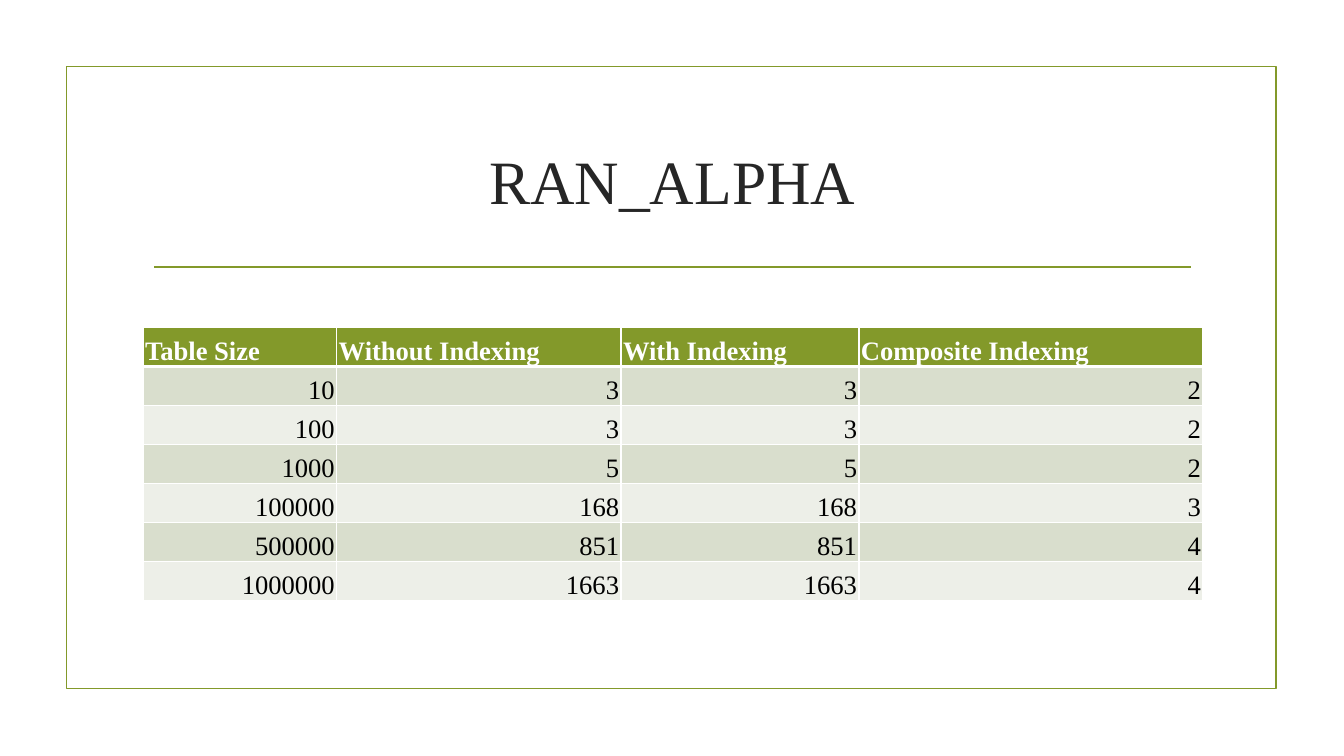
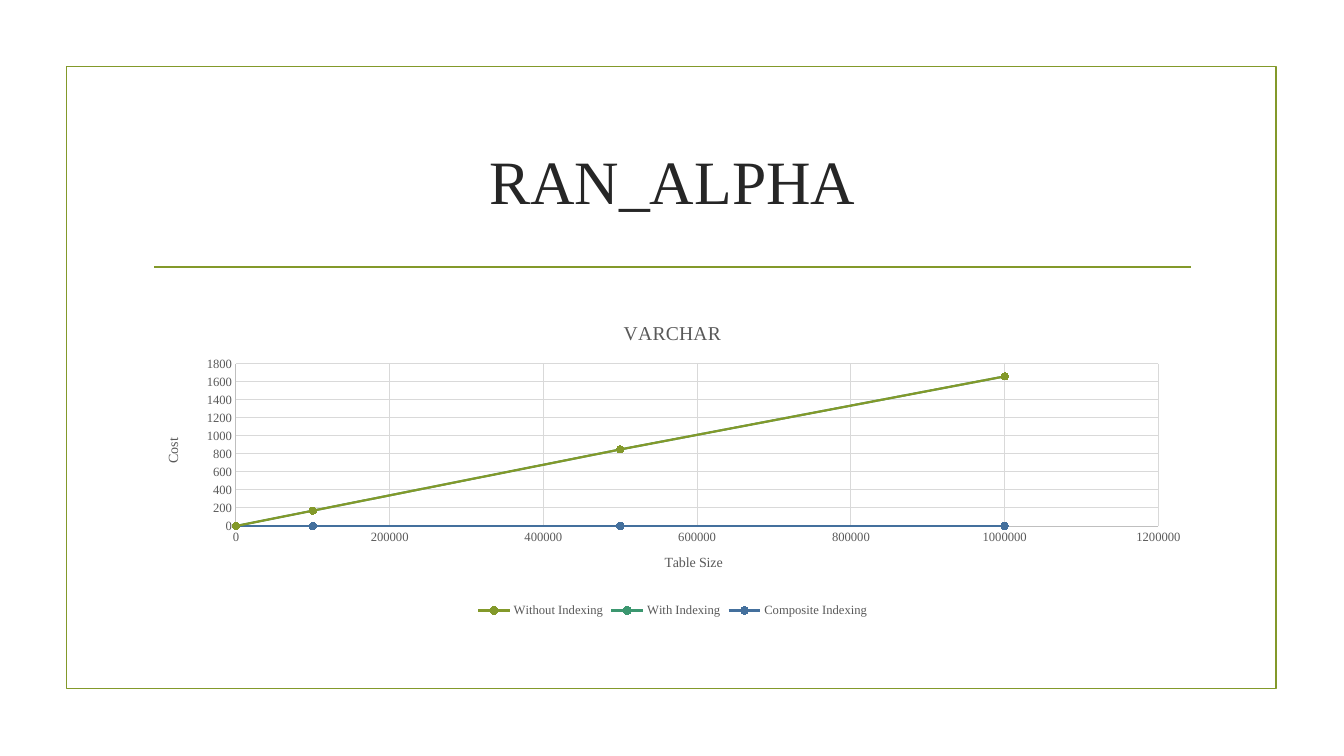
from lxml import etree
from pptx import Presentation
from pptx.chart.data import XyChartData
from pptx.dml.color import RGBColor
from pptx.enum.chart import XL_CHART_TYPE, XL_LEGEND_POSITION, XL_MARKER_STYLE, XL_TICK_MARK
from pptx.enum.shapes import MSO_CONNECTOR, MSO_SHAPE
from pptx.enum.text import MSO_ANCHOR, PP_ALIGN
from pptx.oxml.ns import qn
from pptx.util import Inches, Pt

LEFT, CENTER, RIGHT = PP_ALIGN.LEFT, PP_ALIGN.CENTER, PP_ALIGN.RIGHT
MIDDLE, BOTTOM = MSO_ANCHOR.MIDDLE, MSO_ANCHOR.BOTTOM
STRAIGHT, RECTANGLE = MSO_CONNECTOR.STRAIGHT, MSO_SHAPE.RECTANGLE
SCATTER_LINES = XL_CHART_TYPE.XY_SCATTER_LINES
LEGEND_BOTTOM = XL_LEGEND_POSITION.BOTTOM
CIRCLE, NO_TICK = XL_MARKER_STYLE.CIRCLE, XL_TICK_MARK.NONE

FONT = "Times New Roman"
WHITE = RGBColor(0xFF, 0xFF, 0xFF)
BLACK = RGBColor(0x00, 0x00, 0x00)
INK = RGBColor(0x26, 0x26, 0x26)
GRAY = RGBColor(0x59, 0x59, 0x59)
AXIS_GRAY = RGBColor(0xBF, 0xBF, 0xBF)
GRID_GRAY = RGBColor(0xD9, 0xD9, 0xD9)
GREEN = RGBColor(0x83, 0x99, 0x2A)
TEAL = RGBColor(0x3C, 0x97, 0x70)
BLUE = RGBColor(0x44, 0x70, 0x9D)
BANDS = (RGBColor(0xD9, 0xDE, 0xCD), RGBColor(0xED, 0xEF, 0xE8))
SERIES_COLORS = (GREEN, TEAL, BLUE)

# Content
TITLE = "RAN_ALPHA"
CHART_TITLE = "VARCHAR"
VALUE_TITLE = "Cost"
HEADERS = ("Table Size", "Without Indexing", "With Indexing", "Composite Indexing")
COSTS = (
    (10, 3, 3, 2),
    (100, 3, 3, 2),
    (1000, 5, 5, 2),
    (100000, 168, 168, 3),
    (500000, 851, 851, 4),
    (1000000, 1663, 1663, 4),
)
# Chart precision: sizes to ten thousands, costs to tens
SIZE_DIGITS, COST_DIGITS = -4, -1

# Layout
CONTENT_LEFT, CONTENT_WIDTH = Inches(1.42), Inches(10.5)
COLUMN_WIDTHS = (1.92, 2.82, 2.36, 3.41)
TABLE_HEIGHT, CHART_HEIGHT = Inches(2.71), Inches(3.14)
PLOT_AREA = {
    "x": Inches(0.92) / CONTENT_WIDTH,
    "y": Inches(0.58) / CHART_HEIGHT,
    "w": Inches(9.15) / CONTENT_WIDTH,
    "h": Inches(1.61) / CHART_HEIGHT,
}


def style_font(font, size, color, bold=False):
    font.name, font.size, font.bold = FONT, Pt(size), bold
    font.color.rgb = color


def style_line(line, color, width):
    line.color.rgb = color
    line.width = Pt(width)


def write(text_frame, text, size=19, color=BLACK, bold=False, align=LEFT):
    paragraph = text_frame.paragraphs[0]
    paragraph.alignment = align
    run = paragraph.add_run()
    run.text = text
    style_font(run.font, size, color, bold)


def add_base_slide(presentation):
    """Add a slide with the frame, the title and the rule below it."""
    slide = presentation.slides.add_slide(presentation.slide_layouts[5])

    frame = slide.shapes.add_shape(
        RECTANGLE, Inches(0.66), Inches(0.66), Inches(12), Inches(6.17))
    frame.shadow.inherit = False
    frame.fill.background()
    style_line(frame.line, GREEN, 1.25)

    rule = slide.shapes.add_connector(
        STRAIGHT, Inches(1.53), Inches(2.65), Inches(11.81), Inches(2.65))
    style_line(rule.line, GREEN, 1.25)
    etree.SubElement(rule._element.spPr, qn("a:effectLst"))

    title = slide.shapes.title
    title.left, title.top = CONTENT_LEFT, Inches(1.07)
    title.width, title.height = CONTENT_WIDTH, Inches(1.43)
    title.text_frame.vertical_anchor = MIDDLE
    write(title.text_frame, TITLE, size=44, color=INK, align=CENTER)
    return slide


def set_borders(cell, bottom_width):
    properties = cell._tc.get_or_add_tcPr()
    for side, width in (("L", 1), ("R", 1), ("T", 1), ("B", bottom_width)):
        border = etree.SubElement(properties, qn(f"a:ln{side}"), w=str(Pt(width)))
        fill = etree.SubElement(border, qn("a:solidFill"))
        etree.SubElement(fill, qn("a:srgbClr"), val=str(WHITE))


def add_cost_table(slide):
    rows = (HEADERS,) + COSTS
    table = slide.shapes.add_table(
        len(rows), len(HEADERS), CONTENT_LEFT, Inches(3.25),
        CONTENT_WIDTH, TABLE_HEIGHT).table
    for column, width in zip(table.columns, COLUMN_WIDTHS):
        column.width = Inches(width)
    for row_index, values in enumerate(rows):
        is_header = row_index == 0
        table.rows[row_index].height = TABLE_HEIGHT // len(rows)
        for column_index, value in enumerate(values):
            cell = table.cell(row_index, column_index)
            cell.margin_left = cell.margin_right = cell.margin_top = Inches(0.02)
            cell.margin_bottom = 0
            cell.vertical_anchor = BOTTOM
            set_borders(cell, bottom_width=3 if is_header else 1)
            cell.fill.solid()
            cell.fill.fore_color.rgb = GREEN if is_header else BANDS[(row_index - 1) % 2]
            write(cell.text_frame, str(value), color=WHITE if is_header else BLACK,
                  bold=is_header, align=LEFT if is_header else RIGHT)


def style_axis(axis, title, maximum, step):
    axis.minimum_scale, axis.maximum_scale, axis.major_unit = 0, maximum, step
    axis.major_tick_mark = axis.minor_tick_mark = NO_TICK
    axis.has_major_gridlines = True
    style_line(axis.major_gridlines.format.line, GRID_GRAY, 0.75)
    style_line(axis.format.line, AXIS_GRAY, 0.75)
    style_font(axis.tick_labels.font, 9, GRAY)
    axis.tick_labels.number_format = "General"
    axis.tick_labels.number_format_is_linked = False
    write(axis.axis_title.text_frame, title, size=10, color=GRAY, align=CENTER)


def place_plot_area(chart):
    plot_area = chart._chartSpace.chart.plotArea
    for old_layout in plot_area.findall(qn("c:layout")):
        plot_area.remove(old_layout)
    layout = etree.Element(qn("c:layout"))
    plot_area.insert(0, layout)
    manual = etree.SubElement(layout, qn("c:manualLayout"))
    settings = {"layoutTarget": "inner", "xMode": "edge", "yMode": "edge", **PLOT_AREA}
    for name, value in settings.items():
        etree.SubElement(manual, qn(f"c:{name}"), val=str(value))


def add_cost_chart(slide):
    data = XyChartData()
    for column, name in enumerate(HEADERS[1:], start=1):
        points = data.add_series(name)
        for row in COSTS:
            points.add_data_point(round(row[0], SIZE_DIGITS), round(row[column], COST_DIGITS))
    chart = slide.shapes.add_chart(
        SCATTER_LINES, CONTENT_LEFT, Inches(3.03),
        CONTENT_WIDTH, CHART_HEIGHT, data).chart
    style_font(chart.font, 10, BLACK)
    write(chart.chart_title.text_frame, CHART_TITLE, size=14, color=GRAY, align=CENTER)
    style_axis(chart.category_axis, HEADERS[0], maximum=1200000, step=200000)
    style_axis(chart.value_axis, VALUE_TITLE, maximum=1800, step=200)
    place_plot_area(chart)

    chart.has_legend = True
    chart.legend.position = LEGEND_BOTTOM
    chart.legend.include_in_layout = False
    style_font(chart.legend.font, 9, GRAY)

    chart.plots[0].vary_by_categories = False
    for series, color in zip(chart.plots[0].series, SERIES_COLORS):
        series.smooth = False
        style_line(series.format.line, color, 1.5)
        marker = series.marker
        marker.style, marker.size = CIRCLE, 5
        marker.format.fill.solid()
        marker.format.fill.fore_color.rgb = color
        style_line(marker.format.line, color, 0.75)


def main():
    presentation = Presentation()
    presentation.slide_width, presentation.slide_height = Inches(13.33), Inches(7.5)
    add_cost_table(add_base_slide(presentation))
    add_cost_chart(add_base_slide(presentation))
    presentation.save("out.pptx")


if __name__ == "__main__":
    main()
